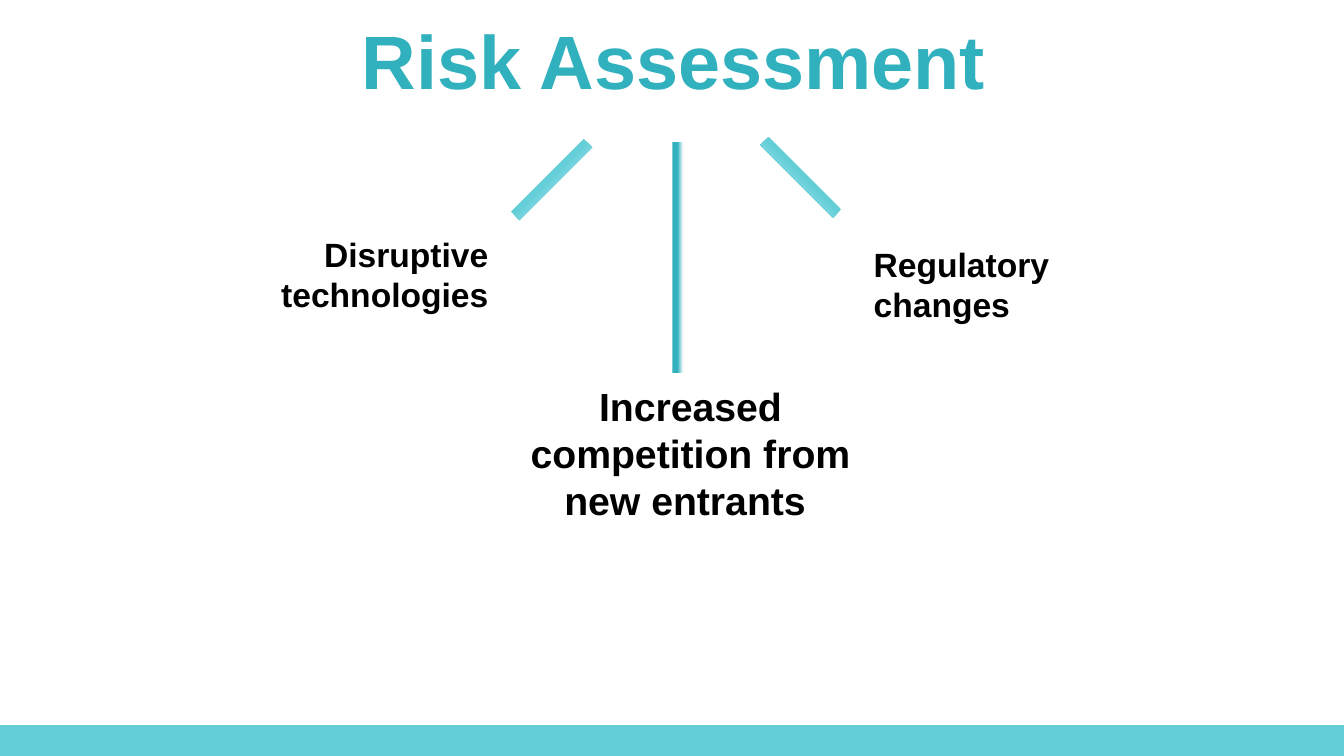
import pptx
import pptx.util
import pptx.dml.color
import pptx.enum.shapes
import pptx.enum.text

Pt = pptx.util.Pt
Align = pptx.enum.text.PP_ALIGN
Anchor = pptx.enum.text.MSO_ANCHOR


def tint(color, code):
    color.rgb = pptx.dml.color.RGBColor.from_string(code)


def write(shape, text, size, color="000000", align=Align.CENTER, anchor=Anchor.TOP, space=1.0):
    frame = shape.text_frame
    frame.word_wrap = True
    frame.auto_size = pptx.enum.text.MSO_AUTO_SIZE.NONE
    frame.vertical_anchor = anchor
    para = frame.paragraphs[0]
    para.text = text
    para.alignment = align
    para.line_spacing = space
    para.font.name = "Arial"
    para.font.size = Pt(size)
    para.font.bold = True
    tint(para.font.color, color)


deck = pptx.Presentation()
deck.slide_width, deck.slide_height = Pt(960), Pt(540)
slide = deck.slides.add_slide(deck.slide_layouts[5])
shapes = slide.shapes

band = shapes.add_shape(pptx.enum.shapes.MSO_SHAPE.RECTANGLE, Pt(0), Pt(518), Pt(960), Pt(22))
band.shadow.inherit = False
band.fill.solid()
tint(band.fill.fore_color, "64CED8")
band.line.fill.background()

title = shapes.title
title.left, title.top, title.width, title.height = Pt(25), Pt(18), Pt(912), Pt(57)
write(title, "Risk Assessment", 54, color="30B1BD", anchor=Anchor.MIDDLE, space=0.9)

bars = [
    ("64CED8", 315, [(365, 151.2), (417, 99.2), (423, 105.2), (371, 157.2)]),
    ("64CED8", 225, [(549, 97.6), (601, 149.6), (595, 155.6), (543, 103.6)]),
    ("32B0BE", 0, [(480.3, 101.5), (488, 101.5), (488, 266.5), (480.3, 266.5)]),
]
for color, angle, points in bars:
    start, *rest = [(Pt(x), Pt(y)) for x, y in points]
    pen = shapes.build_freeform(*start)
    pen.add_line_segments(rest, close=True)
    bar = pen.convert_to_shape()
    bar.shadow.inherit = False
    bar.line.fill.background()
    bar.fill.gradient()
    bar.fill.gradient_angle = angle
    for stop, place, code in zip(bar.fill.gradient_stops, (0.48, 1), (color, "FFFFFF")):
        stop.position = place
        tint(stop.color, code)

risks = [
    ("Increased competition from new entrants ", 28, Align.CENTER, 355.7, 269.3, 275, 108.7),
    ("Disruptive technologies", 24, Align.RIGHT, 193, 163.5, 163, 65.5),
    ("Regulatory changes", 24, Align.LEFT, 617, 170.6, 163, 65.5),
]
for text, size, align, left, top, width, height in risks:
    box = shapes.add_textbox(Pt(left), Pt(top), Pt(width), Pt(height))
    write(box, text, size, align=align)

deck.save("out.pptx")
